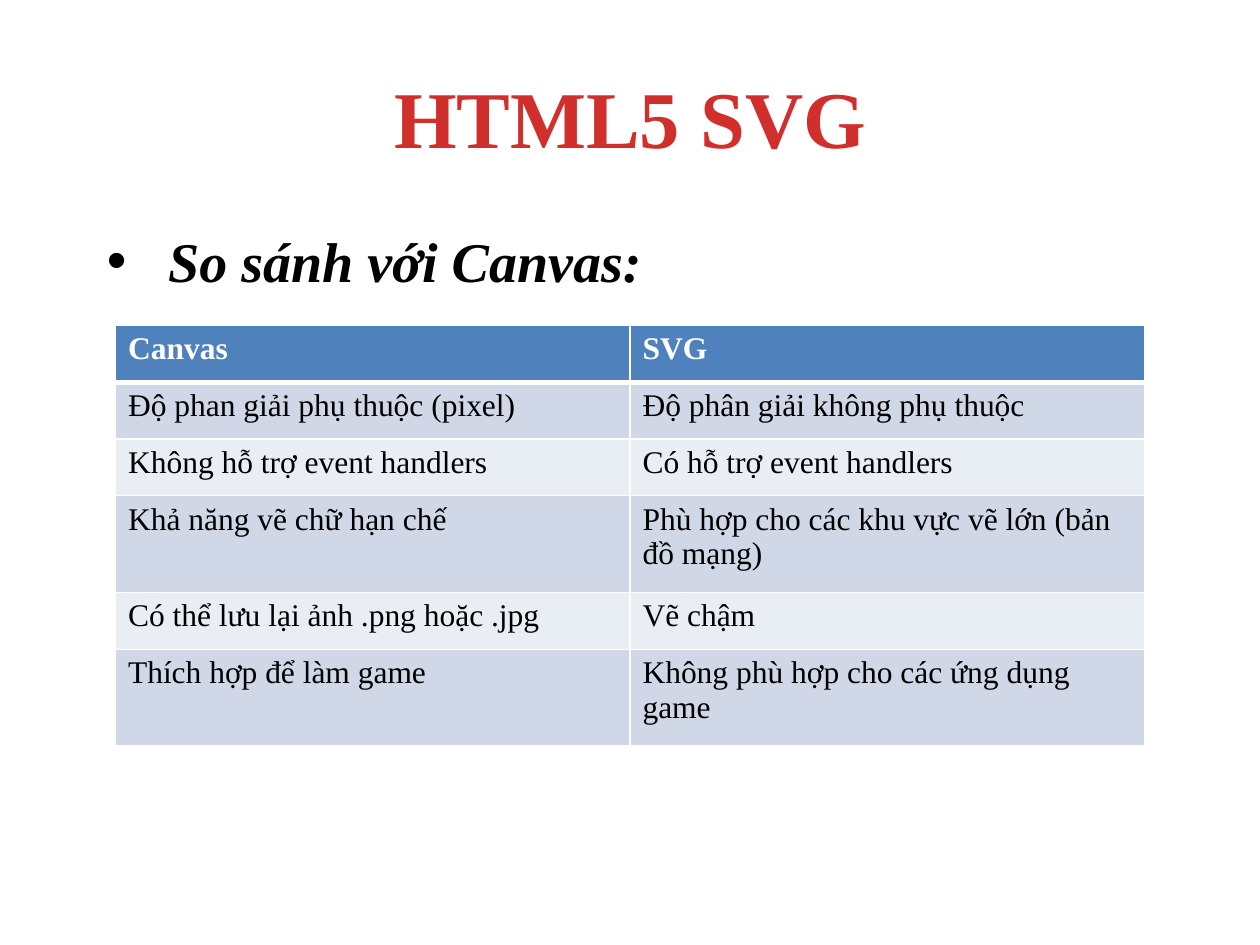
from lxml import etree
from pptx import Presentation
from pptx.dml.color import RGBColor
from pptx.enum.text import MSO_ANCHOR, PP_ALIGN
from pptx.oxml.ns import qn
from pptx.util import Pt

LEFT, CENTER = PP_ALIGN.LEFT, PP_ALIGN.CENTER
TOP, MIDDLE = MSO_ANCHOR.TOP, MSO_ANCHOR.MIDDLE
FACE = "Times New Roman"
WHITE, BLACK, RED, BLUE = "FFFFFF", "000000", "D02F2C", "4F81BD"
BANDS = ("D0D8E8", "E9EDF4")
ROWS = [
    ("Canvas", "SVG"),
    ("Độ phan giải phụ thuộc (pixel)", "Độ phân giải không phụ thuộc"),
    ("Không hỗ trợ event handlers", "Có hỗ trợ event handlers"),
    ("Khả năng vẽ chữ hạn chế", "Phù hợp cho các khu vực vẽ lớn (bản đồ mạng)"),
    ("Có thể lưu lại ảnh .png hoặc .jpg", "Vẽ chậm"),
    ("Thích hợp để làm game", "Không phù hợp cho các ứng dụng game"),
]
SHORT, TALL = 32.4, 55.4
HEIGHTS = (SHORT, SHORT, SHORT, TALL, SHORT, TALL)


def color(code):
    return RGBColor.from_string(code)


def write(frame, text, size=18, ink=BLACK, bold=False, italic=False,
          align=LEFT, anchor=TOP, indent=0):
    frame.word_wrap = True
    frame.vertical_anchor = anchor
    para = frame.paragraphs[0]
    para.text = text
    para.alignment = align
    if indent:
        props = para._p.get_or_add_pPr()
        props.set("marL", str(Pt(indent)))
        props.set("indent", str(-Pt(indent)))
        etree.SubElement(props, qn("a:buFont"), typeface="Arial")
        etree.SubElement(props, qn("a:buChar"), char="•")
    font = para.runs[0].font
    font.name, font.size = FACE, Pt(size)
    font.bold, font.italic = bold, italic
    font.color.rgb = color(ink)


def place(shape, box):
    shape.left, shape.top, shape.width, shape.height = map(Pt, box)


def add_title(slide, box):
    title = slide.shapes.title
    place(title, box)
    write(title.text_frame, "HTML5 SVG", size=46, ink=RED, bold=True,
          align=CENTER, anchor=MIDDLE)


def add_lead(slide, box):
    lead = slide.shapes.add_textbox(*map(Pt, box))
    write(lead.text_frame, "So sánh với Canvas:", size=32, bold=True,
          italic=True, indent=35)


def edge(cell, side, width):
    line = etree.SubElement(cell._tc.get_or_add_tcPr(), qn("a:" + side),
                            w=str(Pt(width)))
    fill = etree.SubElement(line, qn("a:solidFill"))
    etree.SubElement(fill, qn("a:srgbClr"), val=WHITE)


def add_grid(slide, box):
    count = len(ROWS[0])
    grid = slide.shapes.add_table(len(ROWS), count, *map(Pt, box)).table
    for col in grid.columns:
        col.width = Pt(box[2] / count)
    for r, (pair, high) in enumerate(zip(ROWS, HEIGHTS)):
        grid.rows[r].height = Pt(high)
        head = r == 0
        for c, text in enumerate(pair):
            cell = grid.cell(r, c)
            write(cell.text_frame, text, ink=WHITE if head else BLACK, bold=head)
            for side in ("lnL", "lnR", "lnT", "lnB"):
                thick = (head and side == "lnB") or (r == 1 and side == "lnT")
                edge(cell, side, 3 if thick else 1)
            cell.fill.solid()
            cell.fill.fore_color.rgb = color(BLUE if head else BANDS[(r - 1) % 2])


def main():
    deck = Presentation()
    deck.slide_width, deck.slide_height = Pt(720), Pt(540)
    slide = deck.slides.add_slide(deck.slide_layouts[5])
    add_title(slide, (36, 21.6, 648, 90))
    add_lead(slide, (54, 126, 612, 348))
    add_grid(slide, (66, 186, 588, sum(HEIGHTS)))
    deck.save("out.pptx")


if __name__ == "__main__":
    main()
